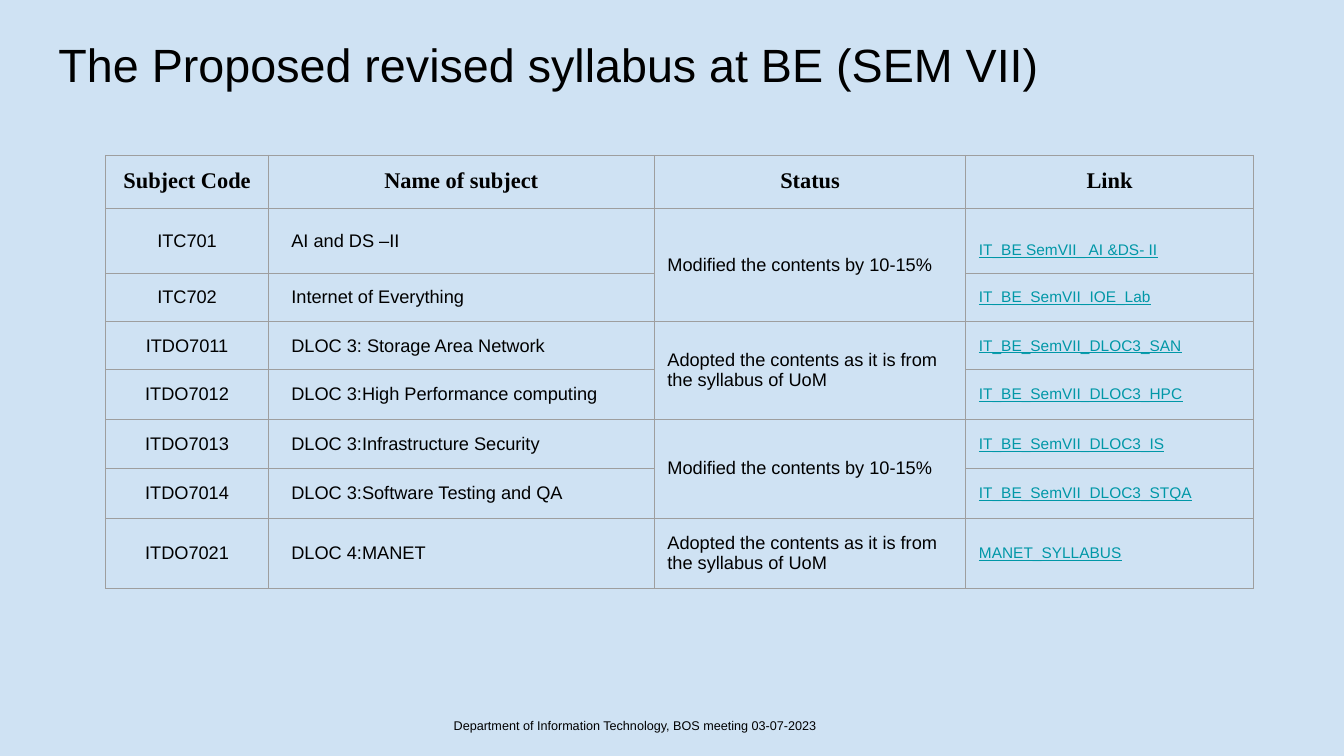
from dataclasses import dataclass

from lxml import etree
from pptx import Presentation
from pptx import util as u
from pptx.dml.color import RGBColor
from pptx.enum import text
from pptx.oxml import ns


@dataclass(frozen=True)
class Theme:
    back: str = "CFE2F3"
    ink: str = "000000"
    link: str = "0097A7"
    line: str = "9E9E9E"
    sans: str = "Arial"
    serif: str = "Times New Roman"
    title: float = 33.3
    head: float = 16
    body: float = 13
    small: float = 11
    foot: float = 9
    rule: float = 0.75
    pad: float = 0.13


THEME = Theme()
LEFT, CENTER = text.PP_ALIGN.LEFT, text.PP_ALIGN.CENTER
TOP, MIDDLE = text.MSO_ANCHOR.TOP, text.MSO_ANCHOR.MIDDLE

COLS = [1.61, 3.83, 3.09, 2.85]
ROWS = [0.53, 0.64, 0.48, 0.48, 0.49, 0.49, 0.49, 0.7]
HEADS = ["Subject Code", "Name of subject", "Status", "Link"]
CHANGED = "Modified the contents by 10-15%"
ADOPTED = "Adopted the contents as it is from the syllabus of UoM"
SUBJECTS = [
    ("ITC701", "AI and DS –II", "IT_BE SemVII_ AI &DS- II"),
    ("ITC702", "Internet of Everything", "IT_BE_SemVII_IOE_Lab"),
    ("ITDO7011", "DLOC 3: Storage Area Network", "IT_BE_SemVII_DLOC3_SAN"),
    ("ITDO7012", "DLOC 3:High Performance computing", "IT_BE_SemVII_DLOC3_HPC"),
    ("ITDO7013", "DLOC 3:Infrastructure Security", "IT_BE_SemVII_DLOC3_IS"),
    ("ITDO7014", "DLOC 3:Software Testing and QA", "IT_BE_SemVII_DLOC3_STQA"),
    ("ITDO7021", "DLOC 4:MANET", "MANET_SYLLABUS"),
]
STATES = [(1, 2, CHANGED), (3, 2, ADOPTED), (5, 2, CHANGED), (7, 1, ADOPTED)]


def write(frame, words, size=THEME.body, face=THEME.sans, color=THEME.ink,
          bold=False, under=False, align=LEFT):
    para = frame.paragraphs[0]
    para.alignment = align
    run = para.add_run()
    run.text = words
    font = run.font
    font.size, font.name = u.Pt(size), face
    font.bold, font.underline = bold, under
    font.color.rgb = RGBColor.from_string(color)


def inset(part, top=THEME.pad, left=THEME.pad):
    part.margin_top, part.margin_left = u.Inches(top), u.Inches(left)
    part.margin_right = part.margin_bottom = u.Inches(THEME.pad)


def label(slide, box, words, top, size):
    frame = slide.shapes.add_textbox(*map(u.Inches, box)).text_frame
    frame.word_wrap = True
    frame.vertical_anchor = TOP
    inset(frame, top=top)
    write(frame, words, size=size)


def border(cell):
    props = cell._tc.get_or_add_tcPr()
    for place, side in enumerate(["lnL", "lnR", "lnT", "lnB"]):
        line = etree.Element(ns.qn(f"a:{side}"), w=str(u.Pt(THEME.rule)))
        fill = etree.SubElement(line, ns.qn("a:solidFill"))
        etree.SubElement(fill, ns.qn("a:srgbClr"), val=THEME.line)
        props.insert(place, line)


def fill_cell(cell, words, anchor=MIDDLE, top=THEME.pad, left=THEME.pad, **style):
    cell.vertical_anchor = anchor
    inset(cell, top, left)
    write(cell.text_frame, words, **style)


def syllabus(slide, left, top):
    size = map(u.Inches, (left, top, sum(COLS), sum(ROWS)))
    table = slide.shapes.add_table(len(ROWS), len(COLS), *size).table
    table.first_row = table.horz_banding = False
    for col, width in zip(table.columns, COLS):
        col.width = u.Inches(width)
    for row, height in zip(table.rows, ROWS):
        row.height = u.Inches(height)
    for cell in table.iter_cells():
        cell.fill.background()
        border(cell)
    for col, words in enumerate(HEADS):
        fill_cell(table.cell(0, col), words, anchor=TOP, size=THEME.head,
                  face=THEME.serif, bold=True, align=CENTER)
    for row, (code, name, link) in enumerate(SUBJECTS, 1):
        fill_cell(table.cell(row, 0), code, align=CENTER)
        fill_cell(table.cell(row, 1), name, left=THEME.pad + 0.1)
        fill_cell(table.cell(row, 3), link, top=0.31 if row == 1 else THEME.pad,
                  size=THEME.small, color=THEME.link, under=True)
    for row, span, words in STATES:
        cell = table.cell(row, 2)
        if span > 1:
            cell.merge(table.cell(row + span - 1, 2))
        fill_cell(cell, words)


def main():
    deck = Presentation()
    deck.slide_width, deck.slide_height = u.Inches(13.33), u.Inches(7.5)
    slide = deck.slides.add_slide(deck.slide_layouts[6])
    back = slide.background.fill
    back.solid()
    back.fore_color.rgb = RGBColor.from_string(THEME.back)
    label(slide, (0.45, 0.18, 12.42, 0.73),
          "The Proposed revised syllabus at BE (SEM VII)", 0.18, THEME.title)
    syllabus(slide, 1.05, 1.54)
    label(slide, (4.37, 7.07, 4.6, 0.42),
          "Department of Information Technology, BOS meeting 03-07-2023",
          0.08, THEME.foot)
    deck.save("out.pptx")


if __name__ == "__main__":
    main()
